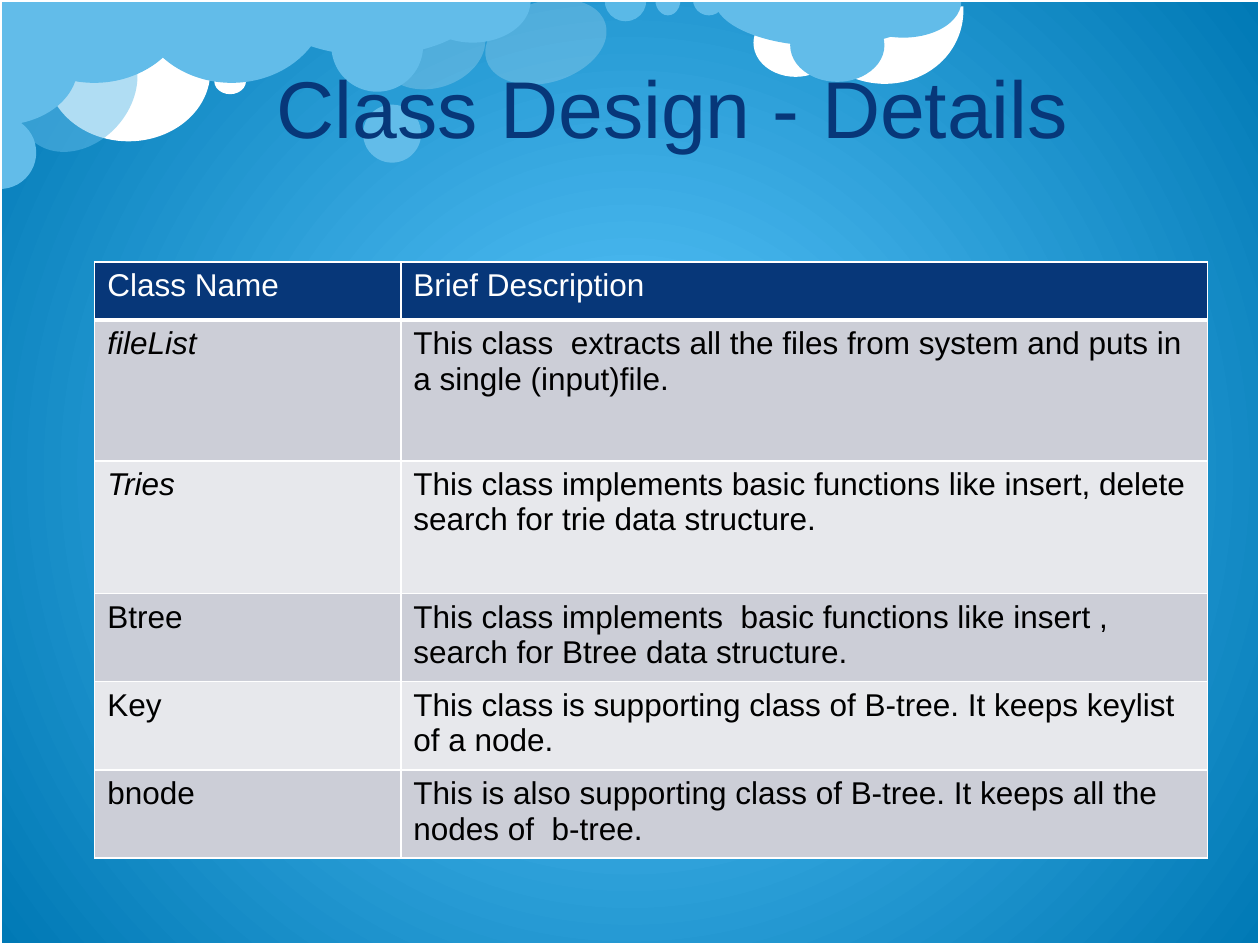
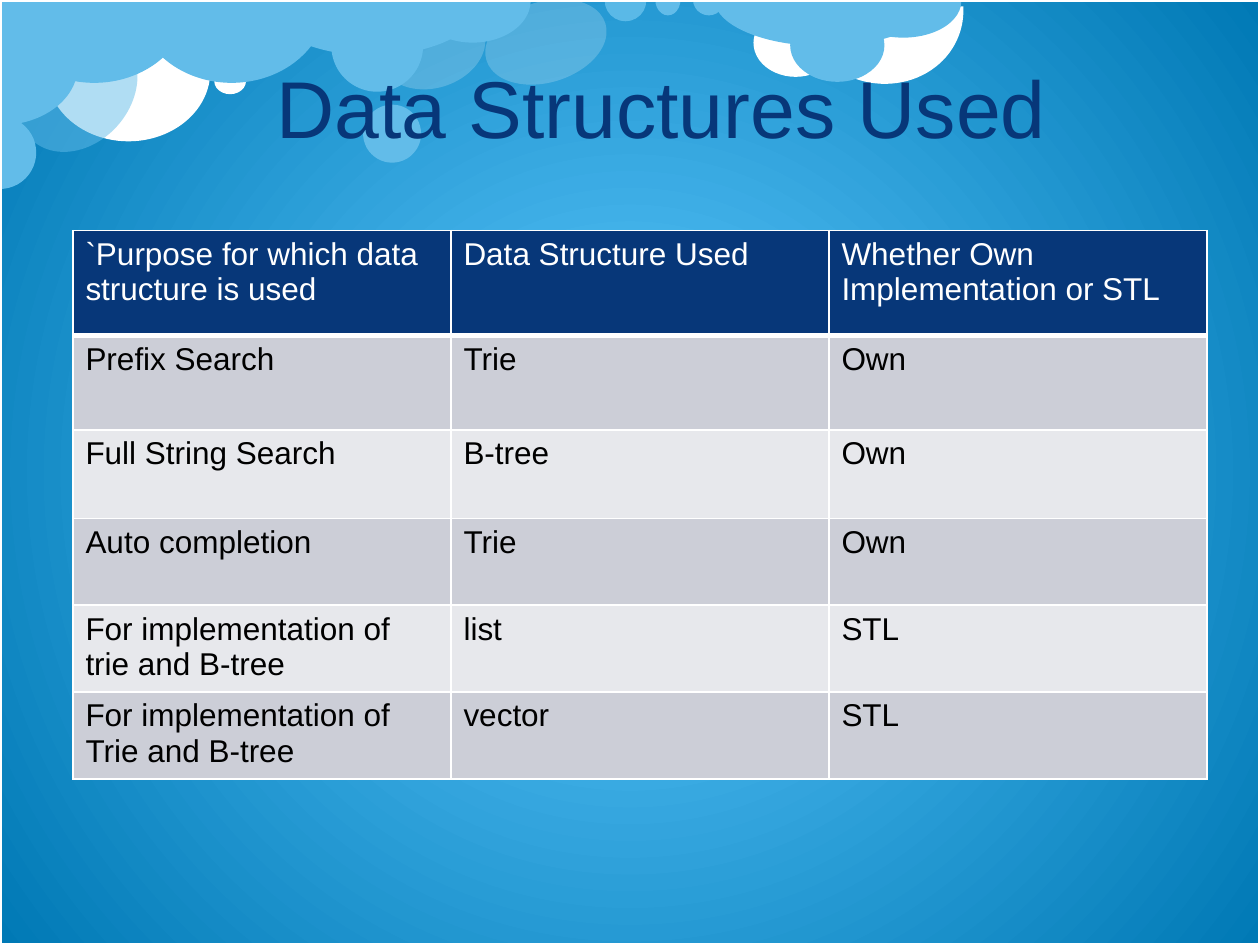
from lxml import etree
from pptx import Presentation
from pptx.dml.color import RGBColor
from pptx.enum import shapes as kinds, text as txt
from pptx.oxml.ns import qn
from pptx.util import Cm, Pt

FONT = "Arial"
NAVY = RGBColor(0x07, 0x37, 0x79)
WHITE = RGBColor(0xFF, 0xFF, 0xFF)
BLACK = RGBColor(0x00, 0x00, 0x00)
SKY = RGBColor(0x62, 0xBC, 0xE9)
PALE_SKY = RGBColor(0x8F, 0xD9, 0xFB)
GLOW = RGBColor(0x5D, 0xC9, 0xFF)
DEEP = RGBColor(0x00, 0x79, 0xB5)
BANDS = (RGBColor(0xCC, 0xCE, 0xD7), RGBColor(0xE7, 0xE8, 0xEC))

# Content: lengths in centimetres
SLIDES = [
    {
        "title": "Class Design - Details",
        "corner": (1.91, 5.28),
        "columns": (6.17, 16.26),
        "heights": (1.17, 2.84, 2.67, 1.78, 1.78, 1.78),
        "italic": ("fileList", "Tries"),
        "rows": [
            ("Class Name", "Brief Description"),
            ("fileList", "This class  extracts all the files from system and puts in a single (input)file."),
            ("Tries", "This class implements basic functions like insert, delete search for trie data structure."),
            ("Btree", "This class implements  basic functions like insert , search for Btree data structure."),
            ("Key", "This class is supporting class of B-tree. It keeps keylist of a node."),
            ("bnode", "This is also supporting class of B-tree. It keeps all the  nodes of  b-tree."),
        ],
    },
    {
        "title": "Data Structures Used",
        "corner": (1.47, 4.65),
        "columns": (7.62, 7.62, 7.62),
        "heights": (2.11, 1.91, 1.78, 1.75, 1.75, 1.75),
        "italic": (),
        "rows": [
            ("`Purpose for which data structure is used", "Data Structure Used",
             "Whether Own Implementation or STL"),
            ("Prefix Search", "Trie", "Own"),
            ("Full String Search", "B-tree", "Own"),
            ("Auto completion", "Trie", "Own"),
            ("For implementation of trie and B-tree", "list", "STL"),
            ("For implementation of\nTrie and B-tree", "vector", "STL"),
        ],
    },
]

# Cloud puffs, back to front: kind, (left, top, width, height), colour, opacity %, rotation
OVAL, HALF, ARC = kinds.MSO_SHAPE.OVAL, kinds.MSO_SHAPE.PIE, kinds.MSO_SHAPE.ARC
SWEEPS = {HALF: (0, 108), ARC: (151.8, 44.48)}
CLOUDS = [
    (OVAL, (7.9, -0.13, 1.63, 2.18), WHITE, 20, 72.8),
    (OVAL, (0.94, 0.03, 3.3, 2.82), WHITE, 100, 0),
    (ARC, (16.23, -1.52, 3.07, 3.33), WHITE, 100, 106.5),
    (OVAL, (15.19, 0.18, 1.7, 1.37), WHITE, 100, 0),
    (HALF, (-0.03, -1.68, 3.86, 3.35), SKY, 100, 0),
    (HALF, (5.28, -1.12, 4.45, 2.24), SKY, 100, 0),
    (OVAL, (7.32, 2.11, 1.17, 1.17), SKY, 100, 0),
    (OVAL, (0.48, 0.46, 2.16, 2.72), SKY, 50, 41.8),
    (HALF, (-0.74, 2.34, 1.47, 1.47), SKY, 100, 270),
    (OVAL, (4.32, 1.37, 0.64, 0.53), WHITE, 100, 0),
    (HALF, (2.74, -1.68, 3.86, 3.35), SKY, 100, 0),
    (HALF, (14.4, -0.97, 4.45, 1.9), SKY, 100, 0),
    (OVAL, (15.93, 0.18, 1.9, 1.47), SKY, 100, 0),
    (HALF, (17.04, -0.71, 2.34, 1.47), SKY, 100, 0),
    (OVAL, (10.19, -0.41, 1.63, 2.51), WHITE, 20, 72.8),
    (HALF, (12.19, -0.41, 0.84, 0.84), PALE_SKY, 50, 0),
    (HALF, (13.21, -0.33, 0.51, 0.64), SKY, 100, 0),
    (HALF, (13.97, -0.33, 0.64, 0.64), SKY, 100, 0),
    (OVAL, (6.68, 0, 1.85, 1.85), SKY, 100, 0),
    (HALF, (8.36, -0.84, 2.34, 1.7), SKY, 100, 0),
    (HALF, (-1.19, -0.23, 2.36, 3.15), SKY, 100, 270),
]


def paint_background(layout):
    fill = layout.background.fill
    fill.gradient()
    for stop, colour, position in zip(fill.gradient_stops, (GLOW, DEEP), (0, 1)):
        stop.color.rgb = colour
        stop.position = position
    gradient = layout.element.find(".//" + qn("a:gradFill"))
    gradient.remove(gradient.find(qn("a:lin")))
    circle = etree.SubElement(gradient, qn("a:path"), path="circle")
    etree.SubElement(circle, qn("a:fillToRect"), l="50000", t="50000", r="50000", b="50000")


def draw_cloud(slide, kind, box, colour, opacity, rotation):
    puff = slide.shapes.add_shape(kind, *map(Cm, box))
    for i, angle in enumerate(SWEEPS.get(kind, ())):
        puff.adjustments[i] = angle
    puff.rotation = rotation
    puff.shadow.inherit = False
    puff.line.fill.background()
    puff.fill.solid()
    puff.fill.fore_color.rgb = colour
    if opacity < 100:
        tint = puff.element.spPr.find(".//" + qn("a:srgbClr"))
        etree.SubElement(tint, qn("a:alpha"), val=str(opacity * 1000))
    return puff


def draw_frame(slide, width, height):
    frame = slide.shapes.add_shape(kinds.MSO_SHAPE.RECTANGLE, 0, 0, width, height)
    frame.shadow.inherit = False
    frame.fill.background()
    frame.line.color.rgb = WHITE
    frame.line.width = Pt(2)
    return frame


def share_on_layout(layout, decorations):
    """Move the decorations behind the layout's placeholders, with free ids."""
    tree = layout.shapes.element
    for i, decoration in enumerate(decorations):
        decoration.element.xpath(".//p:cNvPr")[0].set("id", str(100 + i))
        tree.insert(2 + i, decoration.element)


def style_runs(frame, size, colour, italic=False):
    for paragraph in frame.paragraphs:
        for run in paragraph.runs:
            run.font.name, run.font.size = FONT, Pt(size)
            run.font.bold, run.font.italic = False, italic
            run.font.color.rgb = colour


def write_title(slide, words):
    title = slide.shapes.title
    title.left, title.top, title.width, title.height = map(Cm, (1.27, 0.33, 20.96, 3.61))
    frame = title.text_frame
    frame.text = words
    frame.auto_size = txt.MSO_AUTO_SIZE.NONE
    frame.vertical_anchor = txt.MSO_ANCHOR.MIDDLE
    frame.margin_left = Cm(4.31)
    frame.paragraphs[0].alignment = txt.PP_ALIGN.LEFT
    frame.paragraphs[0].line_spacing = Pt(56)
    style_runs(frame, 46, NAVY)


def border_cell(cell, bottom):
    properties = cell._tc.get_or_add_tcPr()
    for side, points in (("L", 1), ("R", 1), ("T", 1), ("B", bottom)):
        line = etree.SubElement(properties, qn("a:ln" + side), w=str(Pt(points)))
        solid = etree.SubElement(line, qn("a:solidFill"))
        etree.SubElement(solid, qn("a:srgbClr"), val=str(WHITE))


def add_class_table(slide, content):
    rows, columns, heights = content["rows"], content["columns"], content["heights"]
    table = slide.shapes.add_table(
        len(rows), len(columns), *map(Cm, content["corner"]),
        Cm(sum(columns)), Cm(sum(heights))).table
    for column, width in zip(table.columns, columns):
        column.width = Cm(width)
    for r, (words, height) in enumerate(zip(rows, heights)):
        table.rows[r].height = Cm(height)
        header = r == 0
        for c, word in enumerate(words):
            cell = table.cell(r, c)
            cell.text = word
            # The line under row r - 1 is also the top of row r
            border_cell(cell, 3 if header else 1)
            if r == 1:
                cell._tc.tcPr.find(qn("a:lnT")).set("w", str(Pt(3)))
            cell.fill.solid()
            cell.fill.fore_color.rgb = NAVY if header else BANDS[(r - 1) % 2]
            style_runs(cell.text_frame, 18, WHITE if header else BLACK,
                       word in content["italic"])


def main():
    deck = Presentation()
    deck.slide_width, deck.slide_height = Cm(25.4), Cm(19.05)
    layout = deck.slide_layouts[5]
    paint_background(layout)
    for content in SLIDES:
        slide = deck.slides.add_slide(layout)
        write_title(slide, content["title"])
        add_class_table(slide, content)

    # Clouds and frame are drawn once and shared through the layout
    first = deck.slides[0]
    decorations = [draw_cloud(first, *cloud) for cloud in CLOUDS]
    decorations.append(draw_frame(first, deck.slide_width, deck.slide_height))
    share_on_layout(layout, decorations)
    deck.save("out.pptx")


if __name__ == "__main__":
    main()
